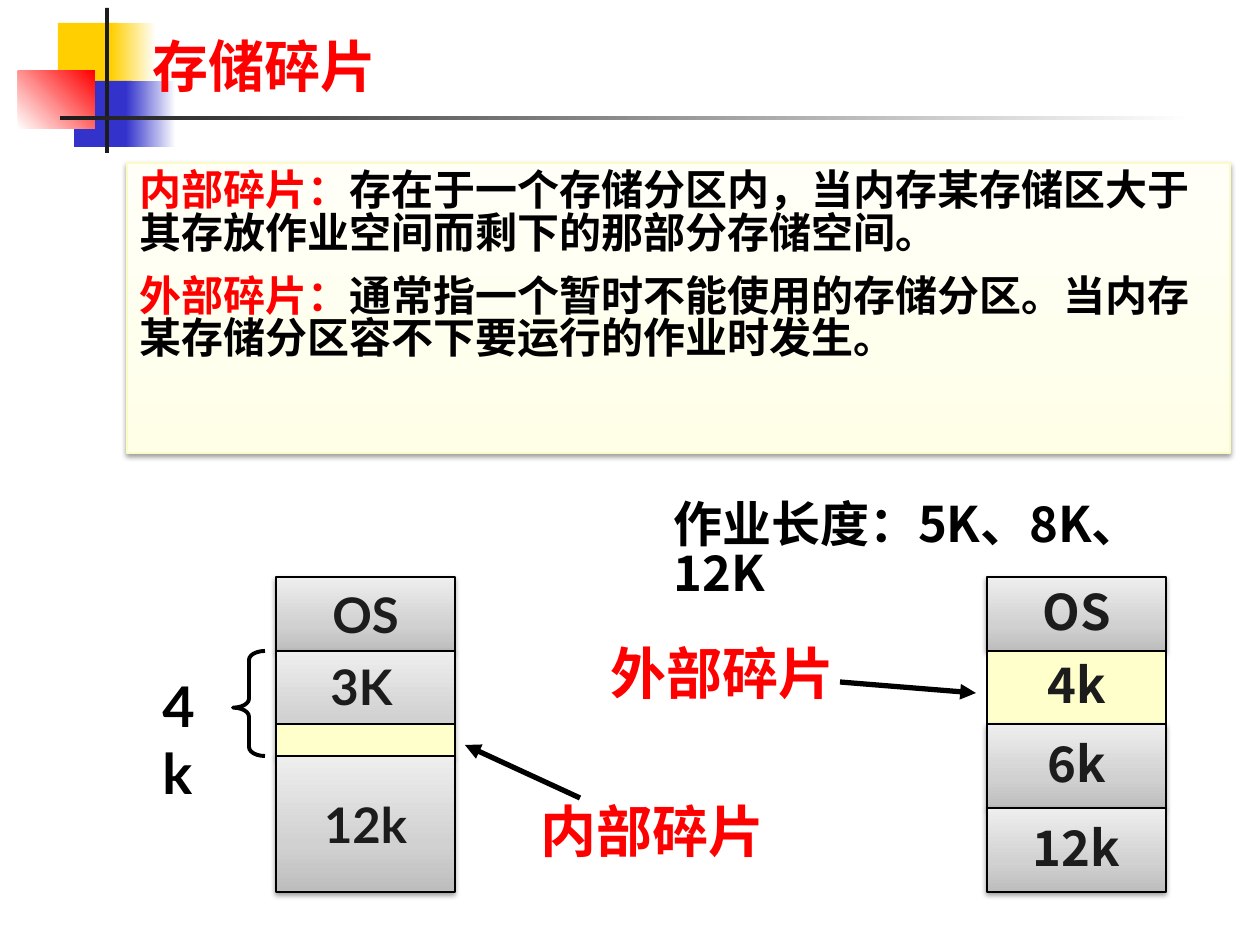
from lxml import etree
from pptx import Presentation
from pptx.dml.color import RGBColor
from pptx.enum.shapes import MSO_CONNECTOR, MSO_SHAPE
from pptx.enum.text import MSO_ANCHOR, MSO_AUTO_SIZE, PP_ALIGN
from pptx.oxml.ns import qn
from pptx.util import Emu, Pt

EMU_PER_PX = 914400 / 126
LATO, CJK = "Lato", "Noto Sans CJK SC"
C = {"red": "FF0000", "black": "000000", "ink": "1C1C1C", "white": "FFFFFF",
     "yellow": "FFCF01", "blue": "3333CC", "free": "FFFFCC", "edge": "FBFBC6"}
GREY = [(0, "BDBDBD"), (35, "D1D1D1"), (100, "EEEEEE")]
CREAM = [(0, "FFFFE7"), (35, "FFFFEE"), (100, "FFFFF8")]


def px(n):
    return Emu(round(n * EMU_PER_PX))


def rgb(name):
    return RGBColor.from_string(C[name])


def add(parent, tag, **attrs):
    el = etree.SubElement(parent, qn(tag))
    for key, value in attrs.items():
        el.set(key, str(value))
    return el


def set_gradient(sp, stops, angle):
    sp.fill.background()
    spPr = sp._element.spPr
    grad = etree.Element(qn("a:gradFill"), rotWithShape="1")
    gs_list = add(grad, "a:gsLst")
    for pos, color in stops:
        add(add(gs_list, "a:gs", pos=pos * 1000), "a:srgbClr", val=color)
    add(grad, "a:lin", ang=angle * 60000, scaled=0)
    spPr.replace(spPr.find(qn("a:noFill")), grad)


def set_shadow(sp):
    effects = sp._element.spPr.find(qn("a:effectLst"))
    shadow = add(effects, "a:outerShdw", blurRad=Pt(3.1), dist=Pt(1.6),
                 dir=90 * 60000, algn="ctr", rotWithShape=0)
    add(add(shadow, "a:srgbClr", val=C["black"]), "a:alpha", val=38000)


def add_rect(slide, box, fill, angle=270, line=None, shadow=False):
    """Fill is a colour name or a list of gradient stops."""
    sp = slide.shapes.add_shape(MSO_SHAPE.RECTANGLE, *map(px, box))
    sp.shadow.inherit = False
    if isinstance(fill, str):
        sp.fill.solid()
        sp.fill.fore_color.rgb = rgb(fill)
    else:
        set_gradient(sp, fill, angle)
    if line:
        sp.line.color.rgb = rgb(line)
        sp.line.width = Pt(0.75)
    else:
        sp.line.fill.background()
    if shadow:
        set_shadow(sp)
    return sp


def write(sp, *paragraphs, size=28, font=CJK, color="ink", align=PP_ALIGN.LEFT,
          anchor=MSO_ANCHOR.TOP, wrap=True, gap=0):
    """Each paragraph is a string or a list of (text, colour) runs."""
    tf = sp.text_frame
    tf.auto_size = MSO_AUTO_SIZE.NONE
    tf.word_wrap = wrap
    tf.vertical_anchor = anchor
    tf.margin_top = px(9 if font == CJK else 6)
    for i, runs in enumerate(paragraphs):
        p = tf.add_paragraph() if i else tf.paragraphs[0]
        p.alignment = align
        p.space_before = Pt(gap if i else 0)
        if font == CJK:
            p.line_spacing = 0.84
        for text, run_color in [(runs, color)] if isinstance(runs, str) else runs:
            r = p.add_run()
            r.text = text
            r.font.name, r.font.size, r.font.bold = font, Pt(size), True
            r.font.color.rgb = rgb(run_color)
            add(r._r.get_or_add_rPr(), "a:ea", typeface=font)


def add_label(slide, box, text, **fmt):
    write(slide.shapes.add_textbox(*map(px, box)), text, **fmt)


def add_arrow(slide, start, end):
    line = slide.shapes.add_connector(MSO_CONNECTOR.STRAIGHT, *map(px, start + end))
    line.line.color.rgb = rgb("black")
    line.line.width = Pt(3)
    add(line.line._get_or_add_ln(), "a:tailEnd", type="triangle")
    add(line._element.spPr, "a:effectLst")


def draw_header(slide, x, y, title):
    # Coloured squares, cross bar and fading rule
    def fade(name):
        return [(0, C[name]), (100, C["white"])]

    parts = [((40, 15, 60, 66), "yellow", 0),
             ((93, 15, 45, 66), fade("yellow"), 0),
             ((56, 73, 58, 66), "blue", 0),
             ((108, 73, 50, 66), fade("blue"), 0),
             ((0, 63, 77, 58), [(0, C["white"]), (100, C["red"])], 315),
             ((87, 0, 4, 145), "ink", 0),
             ((42, 108, 1134, 4), fade("ink"), 0)]
    for (left, top, w, h), fill, angle in parts:
        add_rect(slide, (x + left, y + top, w, h), fill, angle)

    # Title in front of the squares
    sp = slide.shapes.title
    sp.left, sp.top, sp.width, sp.height = map(px, (x + 122, y + 25, 1071, 79))
    write(sp, title, size=32, color="red")
    slide.shapes._spTree.append(sp._element)


def draw_definitions(slide, box):
    sp = add_rect(slide, box, CREAM, line="edge", shadow=True)
    write(sp,
          [("内部碎片：", "red"),
           ("存在于一个存储分区内，当内存某存储区大于其存放作业空间而剩下的那部分存储空间。", "black")],
          [("外部碎片：", "red"),
           ("通常指一个暂时不能使用的存储分区。当内存某存储分区容不下要运行的作业时发生。", "black")],
          size=24, gap=12)


def draw_memory(slide, x, y, width, cells, font):
    """Stack (text, height, fill) cells downwards."""
    for text, height, fill in cells:
        sp = add_rect(slide, (x, y, width, height), fill, line="black",
                      shadow=fill is GREY)
        if text:
            write(sp, text, font=font, align=PP_ALIGN.CENTER,
                  anchor=MSO_ANCHOR.MIDDLE, wrap=False)
        y += height


def draw_internal(slide, x, y):
    # Memory with unused space inside a partition
    draw_memory(slide, x, y, 179,
                [("OS", 74, GREY), ("", 105, GREY), ("12k", 136, GREY)], LATO)
    add_rect(slide, (x, y + 147, 179, 32), "free", line="black")
    add_label(slide, (x + 42, y + 74, 94, 72), "3K", font=LATO)

    # Partition size
    add_label(slide, (x - 126, y + 88, 84, 79), "4k", size=32, font=LATO, color="black")
    brace = slide.shapes.add_shape(MSO_SHAPE.LEFT_BRACE,
                                   *map(px, (x - 43, y + 74, 32, 105)))
    brace.adjustments[0], brace.adjustments[1] = 0.28, 0.54
    brace.shadow.inherit = False
    brace.fill.background()
    brace.line.color.rgb = rgb("black")
    brace.line.width = Pt(2.25)

    # Callout
    add_label(slide, (x + 252, y + 221, 251, 79), "内部碎片", size=32, color="red", wrap=False)
    add_arrow(slide, (x + 304, y + 221), (x + 189, y + 168))


def draw_external(slide, x, y):
    # Memory with a partition too small for the jobs
    draw_memory(slide, x, y, 179,
                [("OS", 74, GREY), ("4k", 73, "free"), ("6k", 84, GREY),
                 ("12k", 84, GREY)], CJK)

    # Job lengths and callout
    add_label(slide, (x - 326, y - 83, 577, 72), "作业长度：5K、8K、12K", color="black")
    add_label(slide, (x - 389, y + 63, 251, 79), "外部碎片", size=32, color="red", wrap=False)
    add_arrow(slide, (x - 147, y + 105), (x - 11, y + 116))


def main():
    prs = Presentation()
    prs.slide_width, prs.slide_height = px(1260), px(945)
    slide = prs.slides.add_slide(prs.slide_layouts[5])
    draw_header(slide, 18, 8, "存储碎片")
    draw_internal(slide, 276, 577)
    draw_external(slide, 987, 577)
    draw_definitions(slide, (127, 163, 1103, 290))
    prs.save("out.pptx")


if __name__ == "__main__":
    main()
